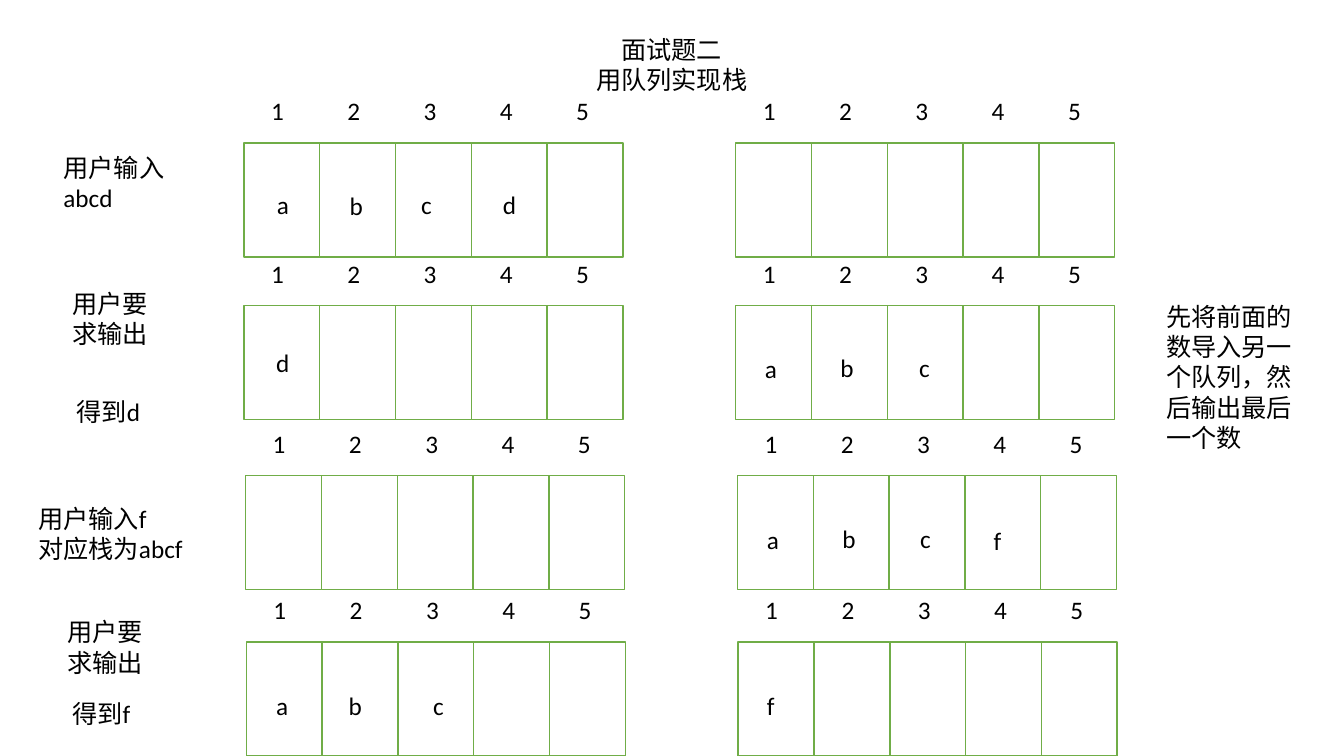
import pptx
import pptx.util
import pptx.dml.color
import pptx.enum.shapes
import pptx.enum.text

Pt = pptx.util.Pt
ALIGN = pptx.enum.text.PP_ALIGN

# Paragraphs, left, top, width, height
TITLE = (["面试题二", "用队列实现栈"], 307.4, 20.9, 344.9, 72.7)
NOTES = [
    (["用户输入", "abcd"], 38.2, 105.1, 92.2, 51),
    (["用户要求输出"], 44.6, 202.3, 80, 51),
    (["得到d"], 47.5, 279.4, 66.2, 29),
    (["用户输入f", "对应栈为abcf"], 20.2, 355.7, 136.8, 51),
    (["用户要求输出"], 41, 437, 80, 51),
    (["得到f"], 44.6, 495.4, 66.2, 29),
    (["先将前面的数导入另一个队列，然后输出最后一个数"], 825.8, 211.7, 109.4, 116),
]

# Left and top of the first queue in each row
ROWS = [(174.3, 102.2), (174.3, 218.2), (175.5, 339.8), (176, 458.6)]
TWIN = 351.3  # step from left queue to right queue
SLOTS = 5
CELL_W, CELL_H = 54.15, 81.4
NUM_STEP, NUM_DX, NUM_DY, NUM_W = 54.5, 12.2, -37.4, 30.2
LINE_H = 29

# Stored letters: letter, left, top
ITEMS = [
    ("a", 190.8, 131.8), ("b", 242.6, 132.5),
    ("c", 293.8, 131.8), ("d", 352.1, 131.8),
    ("d", 190.1, 244.8),
    ("a", 539.3, 249.1), ("b", 593.3, 248.4), ("c", 649.4, 248.4),
    ("a", 540.7, 370.8), ("b", 594.7, 370.1),
    ("c", 650.2, 370.1), ("f", 702.7, 371.5),
    ("a", 190.1, 489.6), ("b", 241.9, 489.6),
    ("c", 302.4, 489.6), ("f", 540.7, 489.6),
]
WIDTHS = {"a": 26.6, "b": 28.8, "c": 23.8, "d": 23.8, "f": 27.4}


def color(code):
    """Turn a hex string into a colour."""
    return pptx.dml.color.RGBColor.from_string(code)


def write(shapes, lines, x, y, w, h, align=ALIGN.LEFT):
    """Add a text box with one paragraph per line."""
    box = shapes.add_textbox(Pt(x), Pt(y), Pt(w), Pt(h))
    frame = box.text_frame
    frame.word_wrap = True
    for i, line in enumerate(lines):
        para = frame.add_paragraph() if i else frame.paragraphs[0]
        para.alignment = align
        run = para.add_run()
        run.text = line
        run.font.size = Pt(18)
        run.font.name = "Calibri"
        run.font.color.rgb = color("000000")


def cell(shapes, x, y):
    """Add one queue cell, a wide box turned upright."""
    shift = (CELL_H - CELL_W) / 2
    box = shapes.add_shape(
        pptx.enum.shapes.MSO_SHAPE.RECTANGLE,
        Pt(x - shift), Pt(y + shift), Pt(CELL_H), Pt(CELL_W))
    box.rotation = 270
    box.shadow.inherit = False
    box.fill.solid()
    box.fill.fore_color.rgb = color("FFFFFF")
    box.line.color.rgb = color("70AD47")
    box.line.width = Pt(1)


def queue(shapes, x, y):
    """Add a group of cells with their numbers above."""
    group = shapes.add_group_shape().shapes
    for i in range(SLOTS):
        cell(group, x + i * CELL_W, y)
    for i in range(SLOTS):
        write(group, [str(i + 1)], x + NUM_DX + i * NUM_STEP, y + NUM_DY,
              NUM_W, LINE_H)


deck = pptx.Presentation()
deck.slide_width, deck.slide_height = Pt(960), Pt(540)
shapes = deck.slides.add_slide(deck.slide_layouts[6]).shapes

write(shapes, *TITLE, align=ALIGN.CENTER)
for left, top in ROWS:
    queue(shapes, left, top)
    queue(shapes, left + TWIN, top)
for note in NOTES:
    write(shapes, *note)
for letter, left, top in ITEMS:
    write(shapes, [letter], left, top, WIDTHS[letter], LINE_H)

deck.save("out.pptx")
